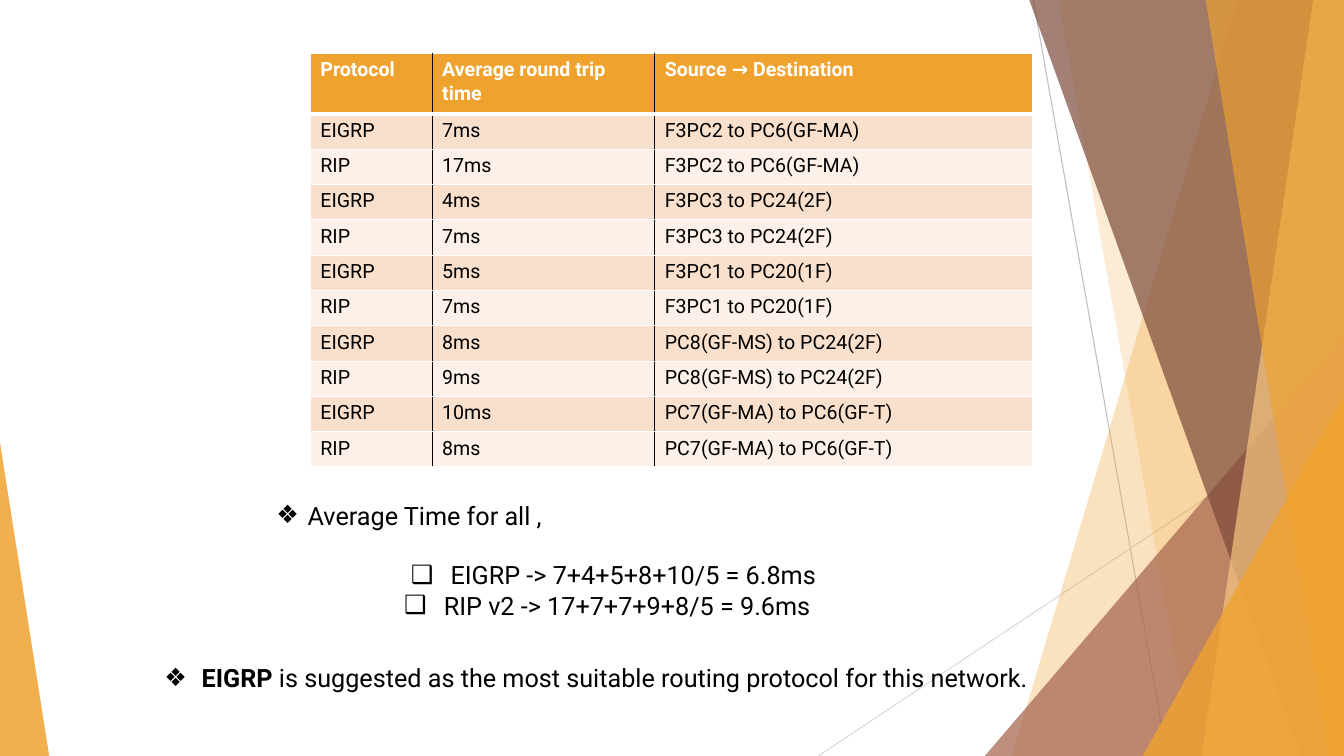
from dataclasses import dataclass

import lxml.etree
import pptx
import pptx.dml.color
import pptx.enum.shapes
import pptx.enum.text
import pptx.oxml.ns
import pptx.shapes.autoshape
import pptx.shapes.placeholder
import pptx.shapes.shapetree
import pptx.slide
import pptx.table
import pptx.text.text
import pptx.util

SLIDE_W, SLIDE_H = 33.87, 19.05
BLEED_TOP = -0.03
FONT = "Roboto"
COLORS = {
    "gold": "F0A22E", "pale gold": "F6C782", "rust": "A5644E", "brown": "7C4B3B",
    "odd row": "F9E0CD", "even row": "FCF0E8",
    "black": "000000", "white": "FFFFFF", "grey": "BFBFBF", "light grey": "D9D9D9",
}


@dataclass
class Ray:
    start: tuple[float, float]
    end: tuple[float, float]
    color: str


@dataclass
class Shard:
    """Outline from the slide's right edge to a slanted left side."""
    top_x: float
    bottom_x: float
    color: str
    opacity: int


@dataclass
class Wedge:
    """Triangle standing on the slide's bottom edge."""
    left: float
    top: float
    width: float
    apex: float
    color: str
    opacity: int


@dataclass
class Bullet:
    runs: list[str]
    mark: str
    indent: float
    hanging: float
    space_before: float = 0


FACET = [
    Ray((26.04, 0), (29.41, SLIDE_H), "grey"),
    Ray((SLIDE_W, 10.24), (20.62, SLIDE_H), "light grey"),
    Shard(31.19, 25.5, "gold", 30),
    Shard(26.67, 30.05, "gold", 20),
    Wedge(24.82, 8.46, 9.05, 1, "rust", 72),
    Shard(25.93, 32.79, "brown", 70),
    Shard(33.1, 30.28, "pale gold", 70),
    Shard(30.38, 33.48, "gold", 65),
    Wedge(28.8, 9.98, 5.07, 1, "gold", 80),
    Wedge(0, 11.15, 1.24, 0, "gold", 85),
]

HEADINGS = ("Protocol", "Average round trip time", "Source → Destination")
# Route, EIGRP time, RIP time
TRIPS = [
    ("F3PC2 to PC6(GF-MA)", "7ms", "17ms"),
    ("F3PC3 to PC24(2F)", "4ms", "7ms"),
    ("F3PC1 to PC20(1F)", "5ms", "7ms"),
    ("PC8(GF-MS) to PC24(2F)", "8ms", "9ms"),
    ("PC7(GF-MA) to PC6(GF-T)", "10ms", "8ms"),
]
COLUMN_WIDTHS = (3.07, 5.61, 9.52)
HEADING_HEIGHT, ROW_HEIGHT = 1.52, 0.89

AVERAGES = [
    Bullet(["Average Time for all ,"], "❖", 0.79, 0.79),
    Bullet(["EIGRP -> 7+4+5+8+10/5 = 6.8ms"], "❑", 4.39, 1, 21),
    Bullet(["RIP v2 -> 17+7+7+9+8/5 = 9.6ms"], "❑", 4.22, 1),
]
CONCLUSION = [
    Bullet(["EIGRP", " is suggested as the most suitable routing protocol for this network."],
           "❖", 0.94, 0.94),
]


def rgb(color: str) -> pptx.dml.color.RGBColor:
    return pptx.dml.color.RGBColor.from_string(COLORS[color])


def add_xml(parent: lxml.etree._Element, tag: str, **attributes: str) -> lxml.etree._Element:
    return lxml.etree.SubElement(parent, pptx.oxml.ns.qn(tag), attributes)


def set_font(paragraph: pptx.text.text._Paragraph, size: int, color: str, bold: bool) -> None:
    paragraph.font.name = FONT
    paragraph.font.size = pptx.util.Pt(size)
    paragraph.font.bold = bold
    paragraph.font.color.rgb = rgb(color)


def paint(facet: pptx.shapes.autoshape.Shape, color: str, opacity: int) -> None:
    facet.shadow.inherit = False
    facet.line.fill.background()
    facet.fill.solid()
    facet.fill.fore_color.rgb = rgb(color)
    tint = facet.element.spPr.find(".//" + pptx.oxml.ns.qn("a:srgbClr"))
    add_xml(tint, "a:alpha", val=str(opacity * 1000))


def draw_ray(shapes: pptx.shapes.shapetree.GroupShapes, ray: Ray) -> None:
    ends = [pptx.util.Cm(value) for value in ray.start + ray.end]
    line = shapes.add_connector(pptx.enum.shapes.MSO_CONNECTOR.STRAIGHT, *ends)
    line.line.color.rgb = rgb(ray.color)
    line.line.width = pptx.util.Pt(0.75)
    add_xml(line.element.spPr, "a:effectLst")


def draw_shard(shapes: pptx.shapes.shapetree.GroupShapes, shard: Shard) -> None:
    corners = [(shard.top_x, BLEED_TOP), (SLIDE_W, BLEED_TOP),
               (SLIDE_W, SLIDE_H), (shard.bottom_x, SLIDE_H)]
    points = [(pptx.util.Cm(x), pptx.util.Cm(y)) for x, y in corners]
    outline = shapes.build_freeform(*points[0], scale=1.0)
    outline.add_line_segments(points[1:], close=True)
    paint(outline.convert_to_shape(), shard.color, shard.opacity)


def draw_wedge(shapes: pptx.shapes.shapetree.GroupShapes, wedge: Wedge) -> None:
    box = (wedge.left, wedge.top, wedge.width, SLIDE_H - wedge.top)
    triangle = shapes.add_shape(pptx.enum.shapes.MSO_SHAPE.ISOSCELES_TRIANGLE,
                                *[pptx.util.Cm(value) for value in box])
    triangle.adjustments[0] = wedge.apex
    paint(triangle, wedge.color, wedge.opacity)


def draw_cell(cell: pptx.table._Cell, text: str, row: int, column: int) -> None:
    heading = row == 0
    borders = {
        "a:lnL": ("white" if column == 0 else "black", 1),
        "a:lnR": ("white" if column == len(HEADINGS) - 1 else "black", 1),
        "a:lnT": ("white", 1),
        "a:lnB": ("white", 3 if heading else 1),
    }
    properties = cell._tc.get_or_add_tcPr()
    for tag, (color, width) in borders.items():
        border = add_xml(properties, tag, w=str(pptx.util.Pt(width)))
        add_xml(add_xml(border, "a:solidFill"), "a:srgbClr", val=COLORS[color])
    cell.fill.solid()
    cell.fill.fore_color.rgb = rgb("gold" if heading else "odd row" if row % 2 else "even row")
    cell.text = text
    set_font(cell.text_frame.paragraphs[0], 14, "white" if heading else "black", heading)


def draw_round_trips(slide: pptx.slide.Slide) -> None:
    rows = [HEADINGS]
    for route, eigrp_time, rip_time in TRIPS:
        rows += [("EIGRP", eigrp_time, route), ("RIP", rip_time, route)]
    height = HEADING_HEIGHT + ROW_HEIGHT * (len(rows) - 1)
    box = (7.82, 1.35, sum(COLUMN_WIDTHS), height)
    round_trips = slide.shapes.add_table(
        len(rows), len(HEADINGS), *[pptx.util.Cm(value) for value in box]).table
    for column, width in zip(round_trips.columns, COLUMN_WIDTHS):
        column.width = pptx.util.Cm(width)
    for r, texts in enumerate(rows):
        round_trips.rows[r].height = pptx.util.Cm(ROW_HEIGHT if r else HEADING_HEIGHT)
        for c, text in enumerate(texts):
            draw_cell(round_trips.cell(r, c), text, r, c)


def write_list(body: pptx.shapes.placeholder.SlidePlaceholder,
               box: tuple[float, float, float, float],
               bullets: list[Bullet], margin_top: float) -> None:
    body.left, body.top, body.width, body.height = [pptx.util.Cm(value) for value in box]
    frame = body.text_frame
    frame.word_wrap = True
    frame.auto_size = pptx.enum.text.MSO_AUTO_SIZE.NONE
    frame.vertical_anchor = pptx.enum.text.MSO_ANCHOR.TOP
    frame.margin_top = pptx.util.Cm(margin_top)
    for i, bullet in enumerate(bullets):
        paragraph = frame.add_paragraph() if i else frame.paragraphs[0]
        paragraph.space_before = pptx.util.Pt(bullet.space_before)
        properties = paragraph._p.get_or_add_pPr()
        properties.set("marL", str(pptx.util.Cm(bullet.indent)))
        properties.set("indent", str(pptx.util.Cm(-bullet.hanging)))
        add_xml(properties, "a:buChar", char=bullet.mark)
        set_font(paragraph, 18, "black", False)
        for text in bullet.runs:
            paragraph.add_run().text = text
    # Bring the list in front of what is drawn so far
    body.element.getparent().append(body.element)


def main() -> None:
    deck = pptx.Presentation()
    deck.slide_width, deck.slide_height = pptx.util.Cm(SLIDE_W), pptx.util.Cm(SLIDE_H)
    slide = deck.slides.add_slide(deck.slide_layouts.get_by_name("Two Content"))
    slide.shapes.title.element.getparent().remove(slide.shapes.title.element)

    # Faceted backdrop
    backdrop = slide.shapes.add_group_shape().shapes
    draw = {Ray: draw_ray, Shard: draw_shard, Wedge: draw_wedge}
    for facet in FACET:
        draw[type(facet)](backdrop, facet)

    # Conclusion, measured times and their averages
    averages, conclusion = slide.placeholders[1], slide.placeholders[2]
    write_list(conclusion, (3.89, 15.82, 26.09, 2.57), CONCLUSION, 0.87)
    draw_round_trips(slide)
    write_list(averages, (6.71, 12.47, 18.49, 3.33), AVERAGES, 0.13)

    # Emphasis on the suggested protocol
    conclusion.text_frame.paragraphs[0].runs[0].font.bold = True
    deck.save("out.pptx")


if __name__ == "__main__":
    main()
